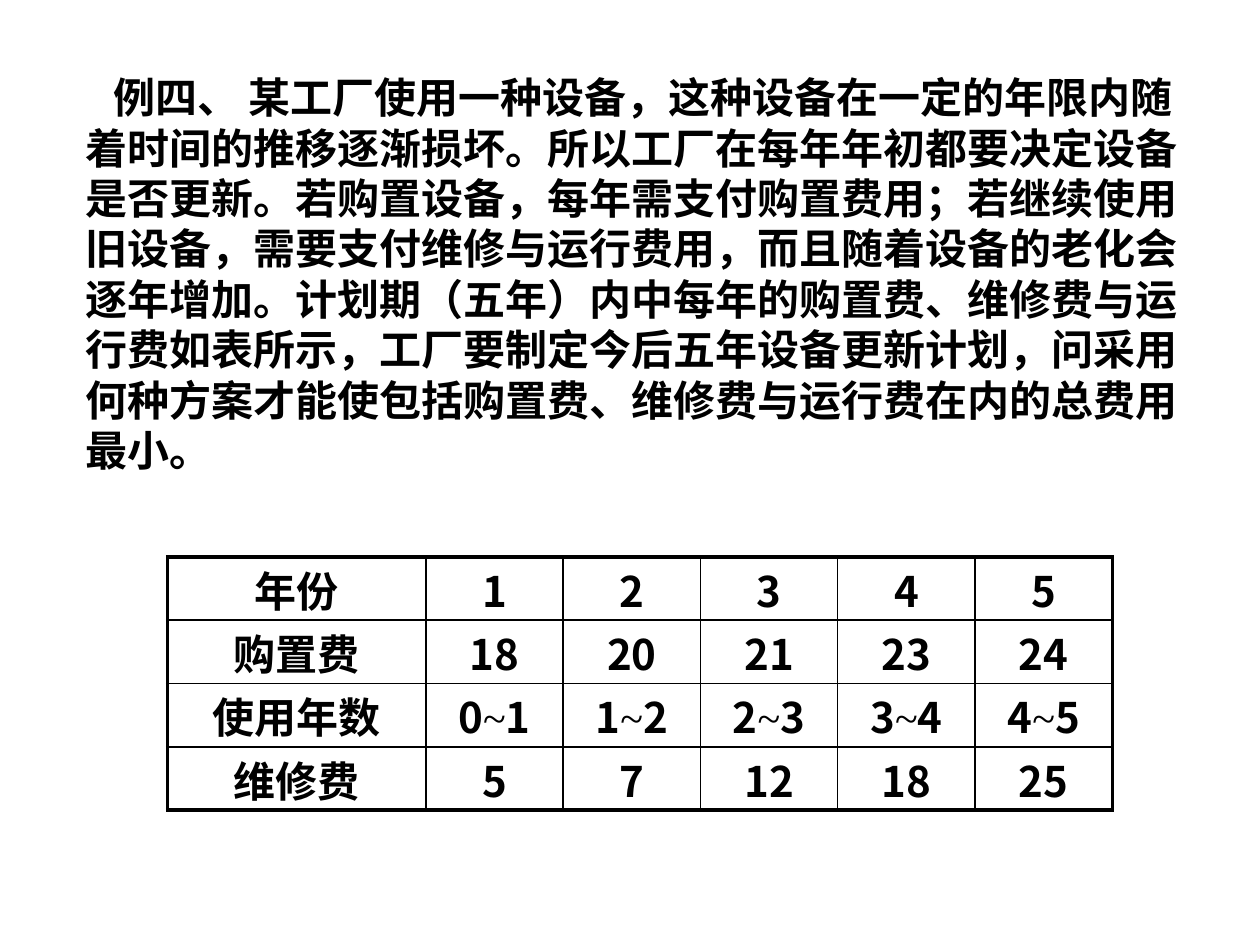
from dataclasses import dataclass

from lxml import etree
from pptx import Presentation, util as u
from pptx.dml.color import RGBColor
from pptx.enum import text
from pptx.oxml.ns import qn


@dataclass(frozen=True)
class Theme:
    ink: str = "000000"
    face: str = "Noto Sans CJK SC"
    mark: str = "Times New Roman"
    size: float = 24
    pitch: float = 28.8
    thin: float = 1
    thick: float = 2.25


STORY = (
    "例四、 某工厂使用一种设备，这种设备在一定的年限内随着时间的推移逐渐损坏。"
    "所以工厂在每年年初都要决定设备是否更新。若购置设备，每年需支付购置费用；"
    "若继续使用旧设备，需要支付维修与运行费用，而且随着设备的老化会逐年增加。"
    "计划期（五年）内中每年的购置费、维修费与运行费如表所示，"
    "工厂要制定今后五年设备更新计划，问采用何种方案才能使包括购置费、"
    "维修费与运行费在内的总费用最小。"
)
COSTS = [
    ["年份", "1", "2", "3", "4", "5"],
    ["购置费", "18", "20", "21", "23", "24"],
    ["使用年数", "0~1", "1~2", "2~3", "3~4", "4~5"],
    ["维修费", "5", "7", "12", "18", "25"],
]


def apply(item, form):
    for name, value in form.items():
        setattr(item, name, value)


class Page:
    def __init__(self, slide, theme):
        self.slide, self.theme = slide, theme

    def run(self, para, words, face, bold=True):
        run = para.add_run()
        run.text = words
        apply(run.font, {"name": face, "size": u.Pt(self.theme.size), "bold": bold})
        run.font.color.rgb = RGBColor.from_string(self.theme.ink)
        east = etree.SubElement(run.font._element, qn("a:ea"))
        east.set("typeface", face)

    def phrase(self, para, words, align):
        """Set the words, with each range sign in the lighter face."""
        apply(para, {"alignment": align, "line_spacing": u.Pt(self.theme.pitch)})
        for part in words.replace("~", "|~|").split("|"):
            if part == "~":
                self.run(para, part, self.theme.mark, False)
            else:
                self.run(para, part, self.theme.face)

    def prose(self, words, box, indent):
        frame = self.slide.shapes.add_textbox(*map(u.Inches, box)).text_frame
        apply(frame, {"word_wrap": True, "margin_top": u.Inches(0.07)})
        para = frame.paragraphs[0]
        self.phrase(para, words, text.PP_ALIGN.LEFT)
        para._p.get_or_add_pPr().set("indent", str(u.Inches(indent)))

    def edge(self, cell, sides):
        """Draw cell borders from (side, width) pairs in schema order."""
        props = cell._tc.get_or_add_tcPr()
        for spot, (side, width) in enumerate(sides):
            line = etree.Element(qn(f"a:ln{side}"), w=str(u.Pt(width)))
            fill = etree.SubElement(line, qn("a:solidFill"))
            etree.SubElement(fill, qn("a:srgbClr"), val=self.theme.ink)
            props.insert(spot, line)

    def grid(self, rows, box, first):
        """Build a boxed table whose first column has its own width."""
        high, wide = len(rows), len(rows[0])
        table = self.slide.shapes.add_table(high, wide, *map(u.Inches, box)).table
        apply(table, {"first_row": False, "horz_banding": False})
        rest = (box[2] - first) / (wide - 1)
        for c, col in enumerate(table.columns):
            col.width = u.Inches(rest if c else first)
        form = {
            "margin_top": u.Inches(0.09),
            "margin_bottom": 0,
            "vertical_anchor": text.MSO_ANCHOR.MIDDLE,
        }
        for r, row in enumerate(rows):
            for c, words in enumerate(row):
                cell = table.cell(r, c)
                apply(cell, form)
                cell.fill.background()
                self.phrase(cell.text_frame.paragraphs[0], words, text.PP_ALIGN.CENTER)
                outer = {"L": c == 0, "R": c == wide - 1, "T": r == 0, "B": r == high - 1}
                self.edge(cell, [
                    (side, self.theme.thick if out else self.theme.thin)
                    for side, out in outer.items()
                ])


def main():
    deck = Presentation()
    apply(deck, {"slide_width": u.Inches(10), "slide_height": u.Inches(7.5)})
    page = Page(deck.slides.add_slide(deck.slide_layouts[6]), Theme())
    page.prose(STORY, (0.58, 0.5, 8.92, 3.3), 0.22)
    page.grid(COSTS, (1.33, 4.42, 7.5, 2.01), 2.05)
    deck.save("out.pptx")


if __name__ == "__main__":
    main()
